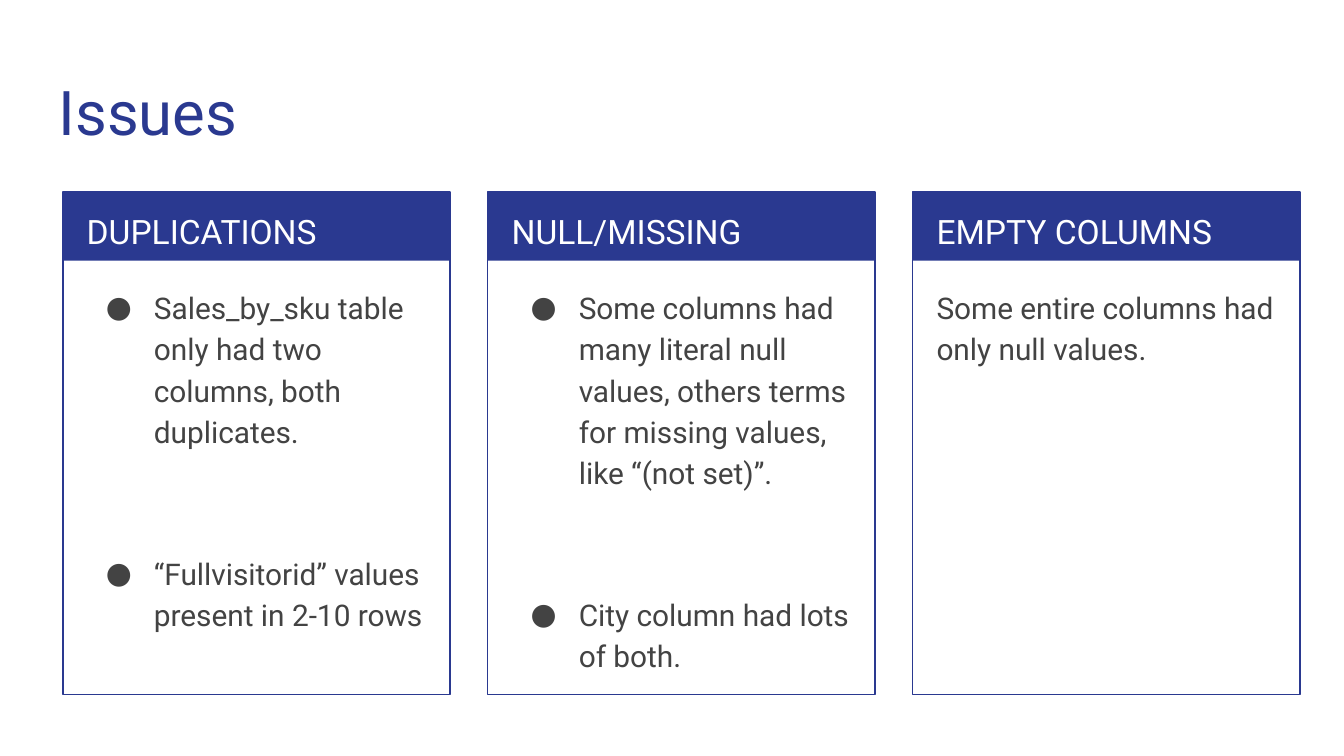
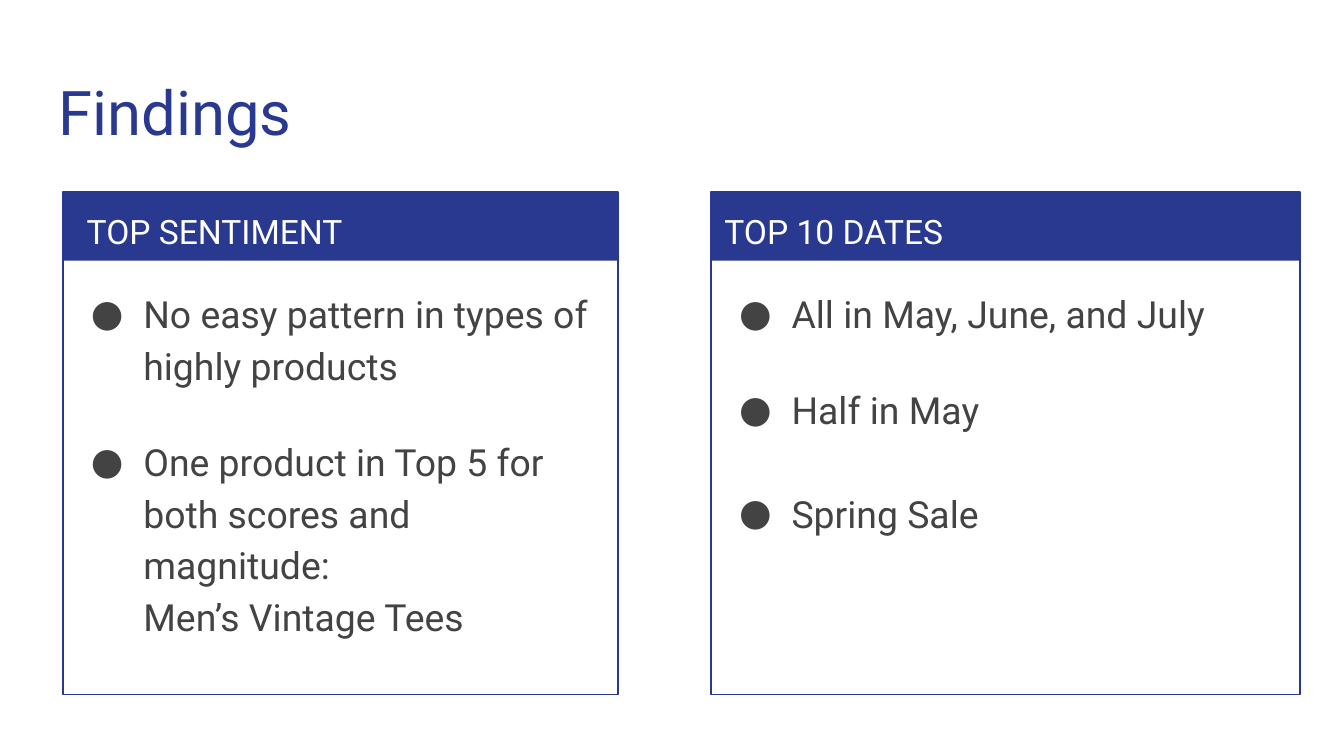
from lxml.etree import SubElement
from pptx import Presentation
from pptx.dml.color import RGBColor
from pptx.enum.shapes import MSO_SHAPE
from pptx.enum.text import MSO_ANCHOR, MSO_AUTO_SIZE, PP_ALIGN
from pptx.oxml.ns import qn
from pptx.util import Cm, Pt

NAVY, GREY, WHITE = "2A3990", "434343", "FFFFFF"
FACE = "Roboto"
LEFT, TOP, TALL, BAND = 1.19, 3.63, 9.5, 1.3
WIDE, STEP, PAD = 7.32, 8.03, 0.2
INNER = WIDE - 2 * PAD

ISSUES = [
    ("DUPLICATIONS", True, [
        ("Sales_by_sku table only had two columns, both duplicates.", 0),
        ("“Fullvisitorid” values present in 2-10 rows", 54),
    ]),
    ("NULL/MISSING", True, [
        ("Some columns had many literal null values, others terms for "
         "missing values, like “(not set)”.", 0),
        ("City column had lots of both.", 54),
    ]),
    ("EMPTY COLUMNS", False, [
        ("Some entire columns had only null values.", 0),
    ]),
]

FINDINGS = [
    {"head": "TOP SENTIMENT", "left": LEFT, "wide": 10.49,
     "label": (PAD, 6.93), "body": (0, 10.49),
     "items": [
         ("No easy pattern in types of highly products", 0),
         ("One product in Top 5 for both scores and magnitude:\n"
          "Men’s Vintage Tees", 24),
     ]},
    {"head": "TOP 10 DATES", "left": 13.44, "wide": 11.13,
     "label": (0, 10.9), "body": (0, 10.9),
     "items": [
         ("All in May, June, and July", 0),
         ("Half in May", 24),
         ("Spring Sale", 27.6),
     ]},
]


def tint(code):
    return RGBColor.from_string(code)


def style(para, size, color):
    para.alignment = PP_ALIGN.LEFT
    font = para.font
    font.name, font.size = FACE, Pt(size)
    font.color.rgb = tint(color)


def setup(frame):
    frame.word_wrap = True
    frame.auto_size = MSO_AUTO_SIZE.NONE
    frame.vertical_anchor = MSO_ANCHOR.TOP
    frame.margin_left = frame.margin_right = Cm(0.25)
    frame.margin_top = frame.margin_bottom = Cm(0.25)


def bullet(para, hang):
    props = para._p.get_or_add_pPr()
    props.set("marL", str(Cm(1.27)))
    props.set("indent", str(-Cm(hang)))
    color = SubElement(props, qn("a:buClr"))
    SubElement(color, qn("a:srgbClr"), val=GREY)
    SubElement(props, qn("a:buFont"), typeface=FACE)
    SubElement(props, qn("a:buChar"), char="●")


def write(slide, place, items, size, color, hang=None):
    frame = slide.shapes.add_textbox(*map(Cm, place)).text_frame
    setup(frame)
    for num, (text, gap) in enumerate(items):
        para = frame.add_paragraph() if num else frame.paragraphs[0]
        para.text = text
        if hang:
            bullet(para, hang)
        para.line_spacing = 1.15
        para.space_before = Pt(gap)
        style(para, size, color)


def rect(slide, left, wide, tall):
    shape = slide.shapes.add_shape(
        MSO_SHAPE.RECTANGLE, Cm(left), Cm(TOP), Cm(wide), Cm(tall))
    shape.shadow.inherit = False
    return shape


def card(slide, head, left, wide, label, body, items, size, hang):
    band = rect(slide, left, wide, BAND)
    band.fill.solid()
    band.fill.fore_color.rgb = tint(NAVY)
    band.line.fill.background()
    edge = rect(slide, left, wide, TALL)
    edge.fill.background()
    edge.line.color.rgb = tint(NAVY)
    edge.line.width = Pt(0.75)
    pad, span = label
    write(slide, (left + pad, TOP, span, 1.27), [(head, 0)], 18, WHITE)
    pad, span = body
    write(slide, (left + pad, 5.13, span, 7.77), items, size, GREY, hang)


def page(deck, text):
    slide = deck.slides.add_slide(deck.slide_layouts[5])
    title = slide.shapes.title
    title.left, title.top = Cm(0.86), Cm(1.14)
    title.width, title.height = Cm(23.67), Cm(1.68)
    title.text = text
    setup(title.text_frame)
    style(title.text_frame.paragraphs[0], 33, NAVY)
    return slide


def main():
    deck = Presentation()
    deck.slide_width, deck.slide_height = Cm(25.4), Cm(14.29)
    slide = page(deck, "Issues")
    for num, (head, dots, items) in enumerate(ISSUES):
        card(slide, head, LEFT + num * STEP, WIDE, (PAD, INNER),
             (PAD, INNER), items, 16, 0.91 if dots else None)
    slide = page(deck, "Findings")
    for part in FINDINGS:
        card(slide, **part, size=20, hang=0.99)
    deck.save("out.pptx")


if __name__ == "__main__":
    main()
